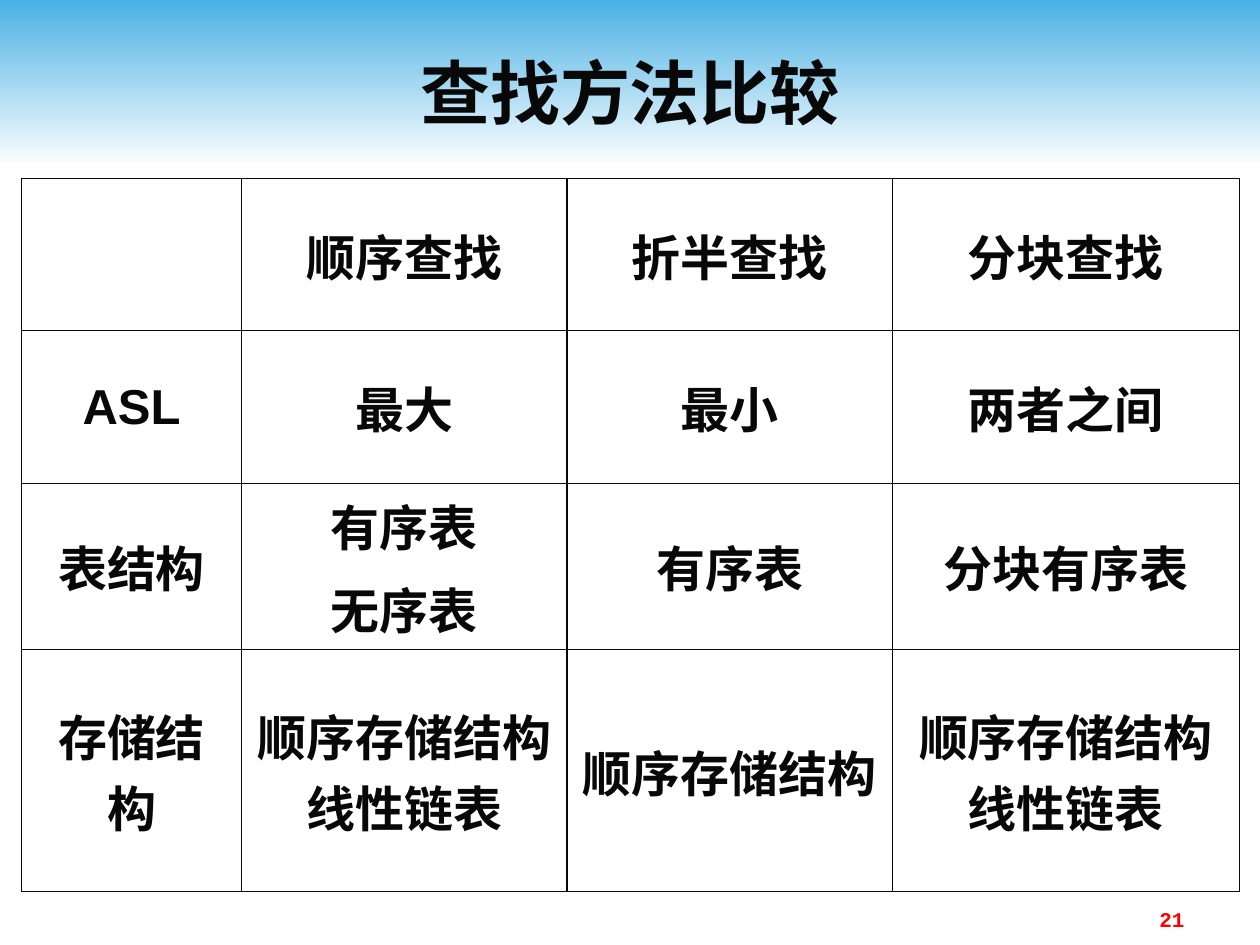
from dataclasses import dataclass

from lxml import etree
from pptx import Presentation
from pptx import util as u
from pptx.dml.color import RGBColor
from pptx.enum import shapes, text
from pptx.oxml import ns

INK = RGBColor(0x08, 0x08, 0x08)
RED = RGBColor(0xFF, 0x00, 0x00)
SKY = RGBColor(0x4A, 0xB1, 0xE4)
WHITE = RGBColor(0xFF, 0xFF, 0xFF)

COLUMN_WIDTHS = (4.44, 6.56, 6.56, 6.99)
ROW_HEIGHTS = (3.07, 3.07, 3.05, 4.88)


@dataclass
class Entry:
    lines: tuple[str, ...]
    gap: float = 0


ROWS = (
    (Entry(("",)), Entry(("顺序查找",)), Entry(("折半查找",)), Entry(("分块查找",))),
    (Entry(("ASL",)), Entry(("最大",)), Entry(("最小",)), Entry(("两者之间",))),
    (Entry(("表结构",)), Entry(("有序表", "无序表"), gap=7),
     Entry(("有序表",)), Entry(("分块有序表",))),
    (Entry(("存储结构",)), Entry(("顺序存储结构", "线性链表")),
     Entry(("顺序存储结构",)), Entry(("顺序存储结构", "线性链表"))),
)


def write(frame, *lines: str, size: float, color: RGBColor = INK, font: str = "Arial",
          align=text.PP_ALIGN.CENTER, gap: float = 0) -> None:
    """Write one bold paragraph per line, with gap points between them."""
    for index, line in enumerate(lines):
        para = frame.paragraphs[0] if index == 0 else frame.add_paragraph()
        para.alignment = align
        para.space_before = u.Pt(gap if index else 0)
        para.font.size = u.Pt(size)
        if not line:
            continue
        span = para.add_run()
        span.text = line
        span.font.size = u.Pt(size)
        span.font.name = font
        span.font.bold = True
        span.font.color.rgb = color


def add_band(page, width: int) -> None:
    """Draw the sky gradient behind everything else."""
    band = page.shapes.add_shape(shapes.MSO_SHAPE.RECTANGLE, 0, 0, width, u.Cm(3.39))
    band.shadow.inherit = False
    band.line.fill.background()
    band.fill.gradient()
    band.fill.gradient_angle = 270
    for stop, color, position in zip(band.fill.gradient_stops, (SKY, WHITE), (0, 1)):
        stop.color.rgb = color
        stop.position = position
    page.shapes._spTree.insert(2, band._element)


def add_borders(cell, color: RGBColor, points: float) -> None:
    properties = cell._tc.get_or_add_tcPr()
    for side in ("lnL", "lnR", "lnT", "lnB"):
        line = etree.SubElement(properties, ns.qn(f"a:{side}"), w=str(u.Pt(points)))
        fill = etree.SubElement(line, ns.qn("a:solidFill"))
        etree.SubElement(fill, ns.qn("a:srgbClr"), val=str(color))


def add_comparison(page) -> None:
    frame = page.shapes.add_table(
        len(ROWS), len(COLUMN_WIDTHS), u.Cm(0.43), u.Cm(3.6),
        u.Cm(sum(COLUMN_WIDTHS)), u.Cm(sum(ROW_HEIGHTS)))
    table = frame.table
    table.first_row = table.horz_banding = False
    for column, width in zip(table.columns, COLUMN_WIDTHS):
        column.width = u.Cm(width)
    for row, height, entries in zip(table.rows, ROW_HEIGHTS, ROWS):
        row.height = u.Cm(height)
        for cell, entry in zip(row.cells, entries):
            cell.vertical_anchor = text.MSO_ANCHOR.MIDDLE
            add_borders(cell, INK, 0.75)
            cell.fill.background()
            write(cell.text_frame, *entry.lines, size=28, gap=entry.gap)


def main() -> None:
    deck = Presentation()
    deck.slide_width, deck.slide_height = u.Cm(25.4), u.Cm(19.05)
    page = deck.slides.add_slide(deck.slide_layouts[5])
    add_band(page, deck.slide_width)

    title = page.shapes.title
    title.left, title.top = u.Cm(1.27), u.Cm(0.64)
    title.width, title.height = u.Cm(22.86), u.Cm(2.41)
    title.text_frame.vertical_anchor = text.MSO_ANCHOR.MIDDLE
    write(title.text_frame, "查找方法比较", size=40)

    add_comparison(page)

    number = page.shapes.add_textbox(u.Cm(18.21), u.Cm(18.16), u.Cm(5.92), u.Cm(0.69))
    number.text_frame.word_wrap = True
    write(number.text_frame, "21", size=12, color=RED, font="Courier New",
          align=text.PP_ALIGN.RIGHT)
    deck.save("out.pptx")


if __name__ == "__main__":
    main()
